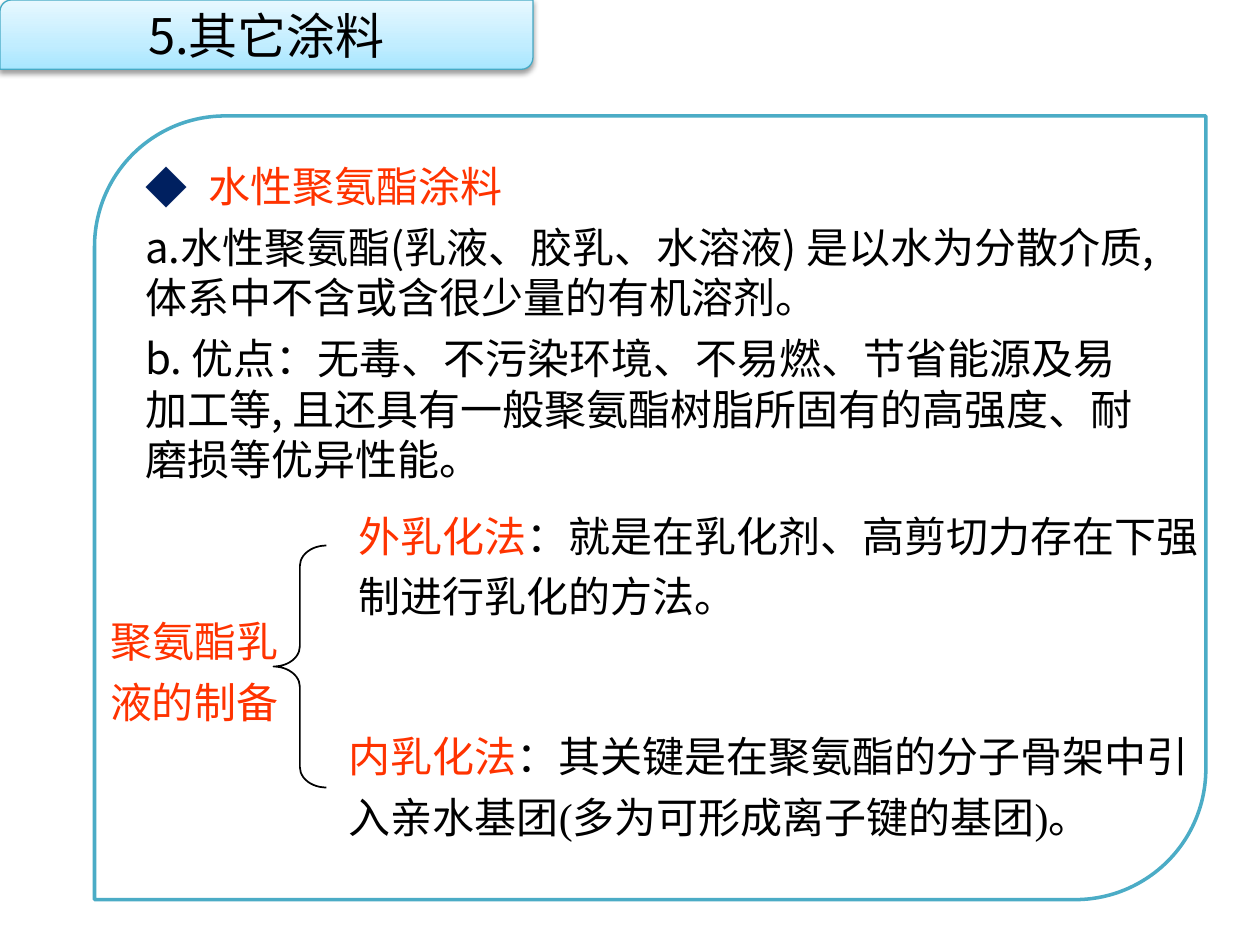
from lxml import etree
from pptx import Presentation
from pptx.dml.color import RGBColor
from pptx.enum.shapes import MSO_SHAPE
from pptx.enum.text import MSO_ANCHOR, PP_ALIGN
from pptx.oxml import parse_xml
from pptx.oxml.ns import qn
from pptx.util import Inches, Pt

CARD, BRACE = MSO_SHAPE.ROUND_2_DIAG_RECTANGLE, MSO_SHAPE.LEFT_BRACE
LEFT, CENTER = PP_ALIGN.LEFT, PP_ALIGN.CENTER
TOP, MIDDLE = MSO_ANCHOR.TOP, MSO_ANCHOR.MIDDLE
DRAWING = "http://schemas.openxmlformats.org/drawingml/2006/main"

THEME = {
    "sans": "Noto Sans CJK SC", "serif": "Times New Roman",
    "title": 28, "body": 24,
    "ink": "000000", "accent": "FF3300", "bullet": "002060",
    "banner_line": "46AAC5", "panel_line": "4BACC6",
    "banner_stops": [(0, "A7E6FF"), (35, "C1EDFF"), (100, "E7F8FF")],
}

TITLE = "5.其它涂料"
HEADING = "水性聚氨酯涂料"
POINTS = [
    "a.水性聚氨酯(乳液、胶乳、水溶液) 是以水为分散介质, 体系中不含或含很少量的有机溶剂。",
    "b. 优点：无毒、不污染环境、不易燃、节省能源及易加工等, 且还具有一般聚氨酯树脂所固有的高强度、耐磨损等优异性能。",
]
BRANCHES = [
    ((0.75, 4.76, 1.58, 1.06), CENTER, "sans", [("聚氨酯乳液的制备", "accent")]),
    ((2.75, 3.92, 7, 1.06), LEFT, "sans",
     [("外乳化法", "accent"), ("：就是在乳化剂、高剪切力存在下强制进行乳化的方法。", "ink")]),
    ((2.67, 5.67, 7, 1.06), LEFT, "serif",
     [("内乳化法", "accent"),
      ("：其关键是在聚氨酯的分子骨架中引入亲水基团(多为可形成离子键的基团)。", "ink")]),
]


def color(name):
    return RGBColor.from_string(THEME[name])


def write(paragraph, runs, size="body", face="sans", align=LEFT):
    paragraph.alignment = align
    paragraph.font.size = Pt(THEME[size])
    paragraph.font.name = THEME[face]
    for text, ink in runs:
        run = paragraph.add_run()
        run.text = text
        run.font.color.rgb = color(ink)


def add_outline(slide, preset, box, line, width):
    shape = slide.shapes.add_shape(preset, *map(Inches, box))
    shape.shadow.inherit = False
    shape.fill.background()
    shape.line.color.rgb = color(line)
    shape.line.width = Pt(width)
    return shape


def add_banner(slide):
    banner = add_outline(slide, CARD, (0, 0, 4.23, 0.55), "banner_line", 0.75)
    stops = "".join(
        f'<a:gs pos="{pos * 1000}"><a:srgbClr val="{tint}"/></a:gs>'
        for pos, tint in THEME["banner_stops"])
    properties = banner.element.spPr
    properties.replace(properties.find(qn("a:noFill")), parse_xml(
        f'<a:gradFill xmlns:a="{DRAWING}" rotWithShape="1"><a:gsLst>{stops}</a:gsLst>'
        '<a:lin ang="16200000" scaled="0"/></a:gradFill>'))
    properties.find(qn("a:effectLst")).append(parse_xml(
        f'<a:outerShdw xmlns:a="{DRAWING}" blurRad="{Pt(3.1)}" dist="{Pt(1.6)}" '
        'dir="5400000" rotWithShape="0"><a:srgbClr val="000000">'
        '<a:alpha val="38000"/></a:srgbClr></a:outerShdw>'))
    banner.text_frame.vertical_anchor = MIDDLE
    write(banner.text_frame.paragraphs[0], [(TITLE, "ink")], "title", align=CENTER)


def add_diamond(paragraph):
    properties = paragraph._p.get_or_add_pPr()
    properties.set("marL", str(Inches(0.5)))
    properties.set("indent", str(Inches(-0.5)))
    tint = etree.SubElement(properties, qn("a:buClr"))
    etree.SubElement(tint, qn("a:srgbClr"), val=THEME["bullet"])
    etree.SubElement(properties, qn("a:buFont"), typeface=THEME["sans"])
    etree.SubElement(properties, qn("a:buChar"), char="◆")


def add_panel(slide):
    panel = add_outline(slide, CARD, (0.75, 0.92, 8.82, 6.22), "panel_line", 2)
    frame = panel.text_frame
    frame.vertical_anchor = TOP
    add_diamond(frame.paragraphs[0])
    write(frame.paragraphs[0], [(HEADING, "accent")])
    for point in POINTS:
        paragraph = frame.add_paragraph()
        paragraph.space_before = Pt(6)
        write(paragraph, [(point, "ink")])


def add_branch(slide, box, align, face, runs):
    frame = slide.shapes.add_textbox(*map(Inches, box)).text_frame
    frame.word_wrap = True
    frame.paragraphs[0].line_spacing = 1.2
    write(frame.paragraphs[0], runs, face=face, align=align)


def main():
    deck = Presentation()
    deck.slide_width, deck.slide_height = Inches(10), Inches(7.5)
    slide = deck.slides.add_slide(deck.slide_layouts[6])
    add_banner(slide)
    add_panel(slide)
    for branch in BRANCHES:
        add_branch(slide, *branch)
    brace = add_outline(slide, BRACE, (2.17, 4.33, 0.42, 1.92), "ink", 1)
    brace.adjustments[0] = 0.383
    deck.save("out.pptx")


if __name__ == "__main__":
    main()
